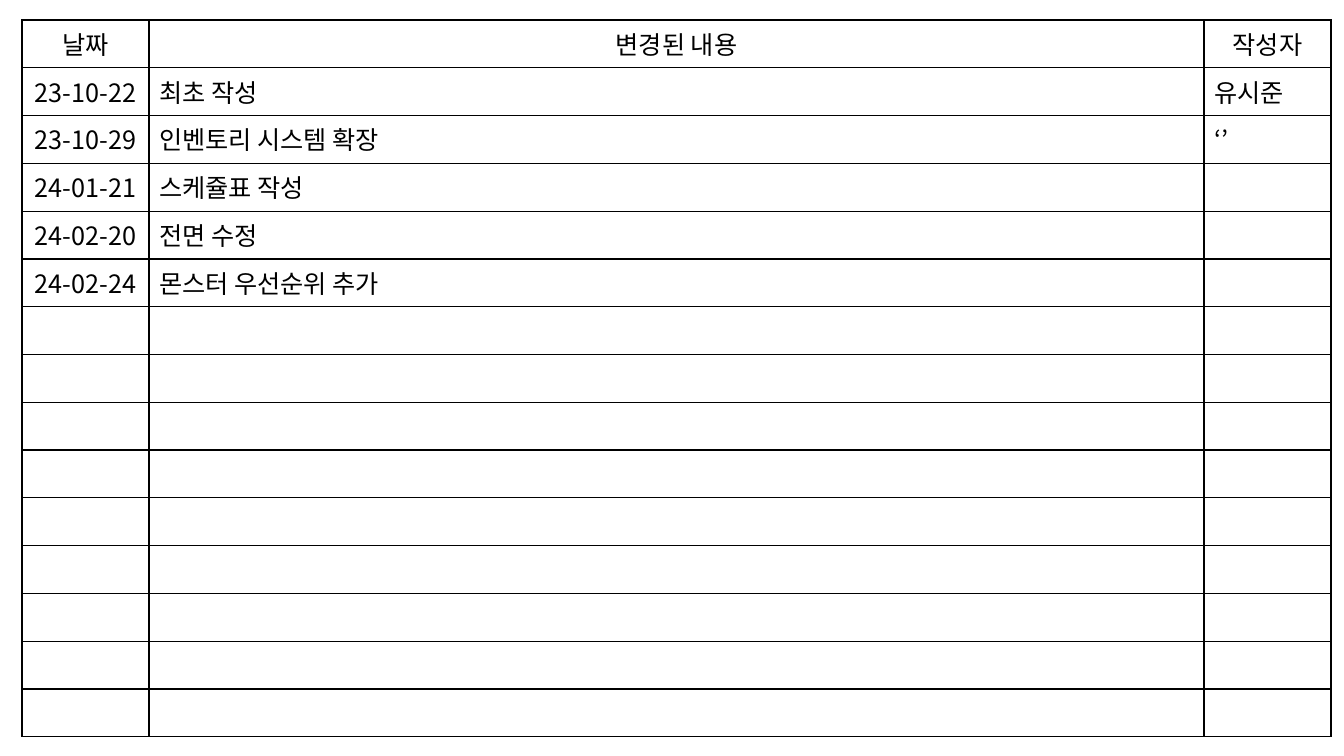
"""Build the revision history slide with its change log table."""

from dataclasses import astuple, dataclass

from lxml.etree import SubElement
from pptx import Presentation
from pptx.dml.color import RGBColor
from pptx.enum.text import PP_ALIGN
from pptx.oxml import parse_xml
from pptx.oxml.ns import nsdecls, qn
from pptx.table import Table, _Cell
from pptx.util import Emu, Pt

EMU_PER_PX = 9071
SLIDE_WIDTH, SLIDE_HEIGHT = 1344, 756
TABLE_LEFT, TABLE_TOP, TABLE_HEIGHT = 22, 20, 717
COLUMN_WIDTHS = (127, 1055, 127)
ROW_COUNT = 15
BLACK = "000000"
FONT_NAME = "Noto Sans CJK KR"
FONT_FORMAT = {"name": FONT_NAME, "size": Pt(18), "bold": False}
TABLE_FORMAT = {"first_row": False, "horz_banding": False}


@dataclass(frozen=True)
class Revision:
    date: str = ""
    change: str = ""
    author: str = ""


HEADER = Revision("날짜", "변경된 내용", "작성자")
REVISIONS = (
    Revision("23-10-22", "최초 작성", "유시준"),
    Revision("23-10-29", "인벤토리 시스템 확장", "‘’"),
    Revision("24-01-21", "스케쥴표 작성"),
    Revision("24-02-20", "전면 수정"),
    Revision("24-02-24", "몬스터 우선순위 추가"),
)


def px(length: int) -> Emu:
    return Emu(length * EMU_PER_PX)


def color(value: str) -> RGBColor:
    return RGBColor.from_string(value)


def apply_format(target: object, values: dict) -> None:
    for name, value in values.items():
        setattr(target, name, value)


def draw_borders(cell: _Cell) -> None:
    properties = cell._tc.get_or_add_tcPr()
    for index, side in enumerate(("lnL", "lnR", "lnT", "lnB")):
        border = parse_xml(
            f'<a:{side} {nsdecls("a")} w="{Pt(1)}"><a:solidFill>'
            f'<a:srgbClr val="{BLACK}"/></a:solidFill></a:{side}>'
        )
        properties.insert(index, border)


def write_text(cell: _Cell, text: str, centered: bool) -> None:
    paragraph = cell.text_frame.paragraphs[0]
    paragraph.alignment = PP_ALIGN.CENTER if centered else PP_ALIGN.LEFT
    run = paragraph.add_run()
    run.text = text
    apply_format(run.font, FONT_FORMAT)
    run.font.color.rgb = color(BLACK)
    SubElement(run._r.get_or_add_rPr(), qn("a:ea"), typeface=FONT_NAME)


def fill_row(table: Table, row_index: int, revision: Revision) -> None:
    for column_index, text in enumerate(astuple(revision)):
        cell = table.cell(row_index, column_index)
        cell.fill.background()
        draw_borders(cell)
        if text:
            write_text(cell, text, row_index == 0 or column_index == 0)


def main() -> None:
    presentation = Presentation()
    slide_size = {"slide_width": px(SLIDE_WIDTH), "slide_height": px(SLIDE_HEIGHT)}
    apply_format(presentation, slide_size)
    slide = presentation.slides.add_slide(presentation.slide_layouts[6])
    table = slide.shapes.add_table(
        ROW_COUNT,
        len(COLUMN_WIDTHS),
        px(TABLE_LEFT),
        px(TABLE_TOP),
        px(sum(COLUMN_WIDTHS)),
        px(TABLE_HEIGHT),
    ).table
    apply_format(table, TABLE_FORMAT)
    for column, width in zip(table.columns, COLUMN_WIDTHS):
        column.width = px(width)
    revisions = (HEADER, *REVISIONS)
    blank_rows = (Revision(),) * (ROW_COUNT - len(revisions))
    for row_index, revision in enumerate(revisions + blank_rows):
        fill_row(table, row_index, revision)
    presentation.save("out.pptx")


if __name__ == "__main__":
    main()
